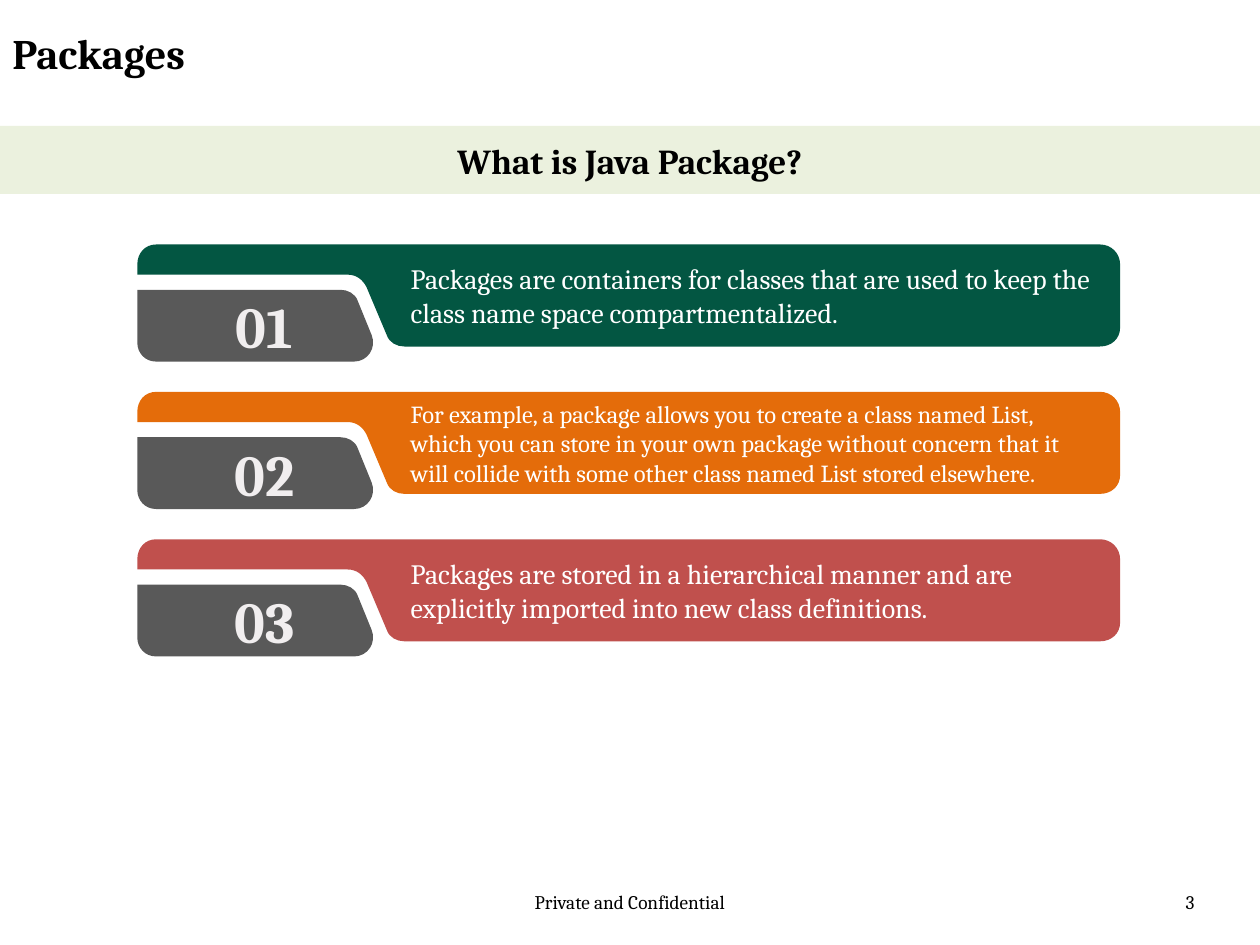
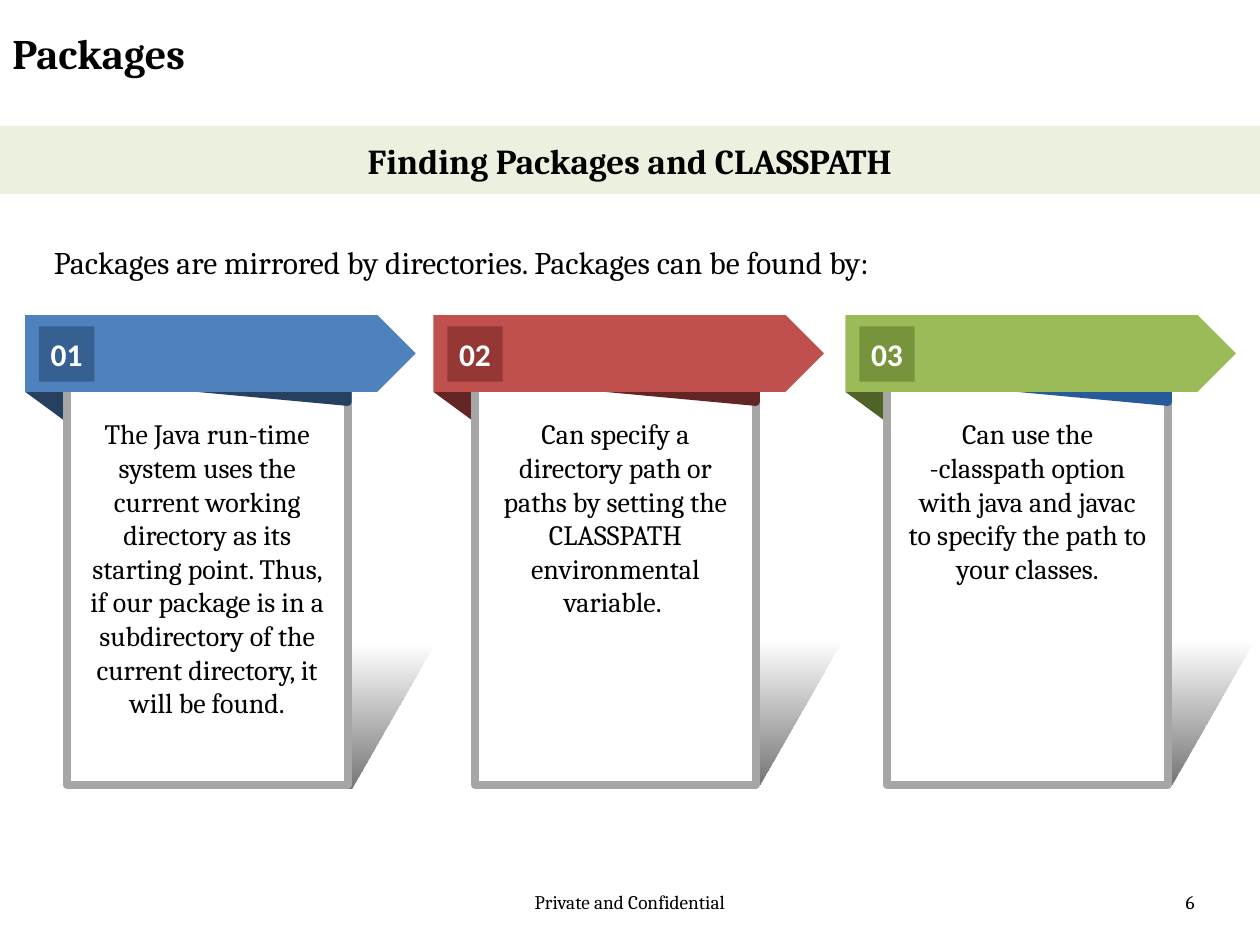
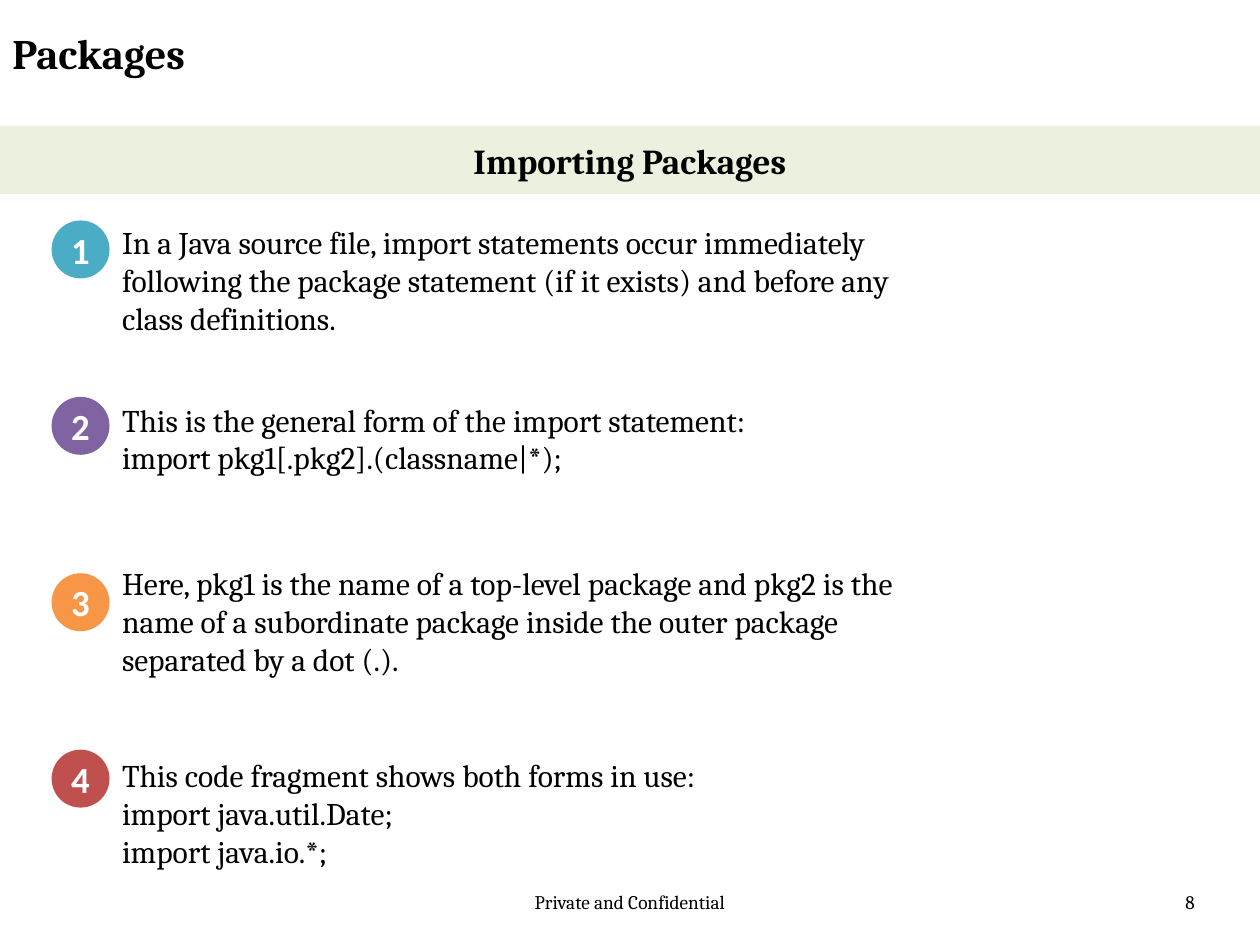
from lxml.etree import SubElement
from pptx import Presentation
from pptx.dml.color import RGBColor
from pptx.enum.shapes import MSO_SHAPE
from pptx.enum.text import MSO_ANCHOR, MSO_AUTO_SIZE, PP_ALIGN
from pptx.oxml.ns import qn
from pptx.util import Inches, Pt

COLORS = {
    "black": "000000", "white": "FFFFFF", "band": "EBF1DE",
    "green": "035642", "orange": "E46C0A", "red": "C0504D",
    "tab": "595959", "tab_text": "F1EEEF", "border": "A6A6A6",
    "blue": "4F81BD", "blue_mid": "376092", "blue_dark": "254061",
    "red_mid": "953735", "red_dark": "632523",
    "lime": "9BBB59", "lime_mid": "77933C", "lime_dark": "4F6228",
    "fold_blue": "265A99", "aqua": "4BACC6", "purple": "8064A2", "amber": "F79646",
}
RGB = {name: RGBColor.from_string(value) for name, value in COLORS.items()}
LEFT, CENTER, RIGHT = PP_ALIGN.LEFT, PP_ALIGN.CENTER, PP_ALIGN.RIGHT
TOP, MIDDLE = MSO_ANCHOR.TOP, MSO_ANCHOR.MIDDLE


def style(sp, fill, line=None):
    sp.shadow.inherit = False
    sp.fill.solid()
    sp.fill.fore_color.rgb = RGB[fill]
    if line:
        sp.line.color.rgb = RGB[line]
        sp.line.width = Pt(4.5)
    else:
        sp.line.fill.background()
    return sp


def write(sp, text, size, color="black", bold=False, font="Cambria", align=LEFT,
          anchor=TOP, insets=(0.1, 0.05, 0.1, 0.05), before=0):
    tf = sp.text_frame
    tf.word_wrap = True
    tf.vertical_anchor = anchor
    for side, inset in zip(("left", "top", "right", "bottom"), insets):
        setattr(tf, f"margin_{side}", Inches(inset))
    for i, line in enumerate(text.split("\n")):
        p = tf.paragraphs[0] if i == 0 else tf.add_paragraph()
        p.alignment = align
        p.space_before = Pt(before)
        r = p.add_run()
        r.text = line
        for key, value in {"name": font, "size": Pt(size), "bold": bold}.items():
            setattr(r.font, key, value)
        r.font.color.rgb = RGB[color]


prs = Presentation()
prs.slide_width, prs.slide_height = Inches(10), Inches(7.5)

slides = []
for heading, number in [
    ("What is Java Package?", "3"),
    ("Finding Packages and CLASSPATH", "6"),
    ("Importing Packages", "8"),
]:
    s = prs.slides.add_slide(prs.slide_layouts[6])
    slides.append(s)
    for text, box, fmt in [
        ("Private and Confidential", (3.42, 7.02, 3.16, 0.4), {"size": 11, "align": CENTER}),
        (number, (7.25, 7.02, 2.33, 0.4), {"size": 11, "align": RIGHT}),
        ("Packages", (0, 0.17, 7.58, 0.62), {"size": 24, "bold": True}),
    ]:
        write(s.shapes.add_textbox(*map(Inches, box)), text, **fmt)
    band = s.shapes.add_shape(MSO_SHAPE.RECTANGLE, 0, Inches(1), Inches(10), Inches(0.54))
    write(style(band, "band"), heading, 20, bold=True, align=CENTER, anchor=MIDDLE, insets=[0.1] * 4)
    band.text_frame.auto_size = MSO_AUTO_SIZE.SHAPE_TO_FIT_TEXT

package_slide, classpath_slide, import_slide = slides

BAR = [
    [(0.15, 0)], [(7.64, 0)], [(7.73, 0), (7.8, 0.07), (7.8, 0.16)],
    [(7.8, 0.66)], [(7.8, 0.75), (7.73, 0.81), (7.64, 0.81)],
    [(2.12, 0.81)], [(2.06, 0.81), (2, 0.78), (1.98, 0.72)],
    [(1.82, 0.34)], [(1.79, 0.28), (1.74, 0.24), (1.67, 0.24)],
    [(0, 0.24)], [(0, 0.16)], [(0, 0.07), (0.06, 0), (0.15, 0)],
]
TAB = [
    [(0, 0.36)], [(1.61, 0.36)], [(1.67, 0.36), (1.73, 0.39), (1.75, 0.45)],
    [(1.86, 0.72)], [(1.9, 0.82), (1.83, 0.93), (1.72, 0.93)],
    [(0.15, 0.93)], [(0.06, 0.93), (0, 0.86), (0, 0.78)],
]
shapes = package_slide.shapes
for i, (fill, size, text) in enumerate([
    ("green", 16, "Packages are containers for classes that are used to keep the class name space "
     "compartmentalized."),
    ("orange", 14, "For example, a package allows you to create a class named List, which you can store "
     "in your own package without concern that it will collide with some other class named List "
     "stored elsewhere."),
    ("red", 16, "Packages are stored in a hierarchical manner and are explicitly imported into new "
     "class definitions."),
]):
    left, top = 1.09, 1.94 + i * 1.17
    for outline, color, label, fmt in [
        (BAR, fill, text, {"size": size, "color": "white", "insets": (2.17, 0.03, 0.18, 0.03)}),
        (TAB, "tab", f"0{i + 1}", {"size": 33, "color": "tab_text", "bold": True, "align": CENTER,
                                   "insets": (0.15, 0.03, 0.03, 0.03)}),
    ]:
        points = [(Inches(left + x), Inches(top + y)) for segment in outline for x, y in segment]
        fb = shapes.build_freeform(*points[0])
        fb.add_line_segments(points[1:], close=False)
        sp = fb.convert_to_shape()
        outline_xml = next(sp._element.iter(qn("a:path")))
        nodes = iter(list(outline_xml))
        for segment in outline:
            first, *rest = [next(nodes) for _ in segment]
            if rest:
                first.tag = qn("a:cubicBezTo")
                for node in rest:
                    first.append(node[0])
                    outline_xml.remove(node)
        SubElement(outline_xml, qn("a:close"))
        write(style(sp, color), label, anchor=MIDDLE, **fmt)

shapes = classpath_slide.shapes
write(shapes.add_textbox(Inches(0.33), Inches(1.88), Inches(8.84), Inches(0.4)),
      "Packages are mirrored by directories. Packages can be found by:", 18)
for i, (left, shade_top, main, mid, dark, fold, text) in enumerate([
    (0.2, 5.12, "blue", "blue_mid", "blue_dark", "blue_dark",
     "The Java run-time system uses the current working directory as its starting point. Thus, if our "
     "package is in a subdirectory of the current directory, it will be found."),
    (3.44, 5.09, "red", "red_mid", "red_dark", "red_dark",
     "Can specify a directory path or paths by setting the CLASSPATH environmental variable. "),
    (6.71, 5.09, "lime", "lime_mid", "lime_dark", "fold_blue",
     "Can use the -classpath option with java and javac to specify the path to your classes."),
]):
    shade = shapes.add_shape(MSO_SHAPE.PARALLELOGRAM, Inches(left + 0.33), Inches(shade_top),
                             Inches(2.91), Inches(1.14))
    style(shade, "black")
    shade.adjustments[0] = 0.57
    shade.fill.gradient()
    shade.fill.gradient_angle = 270
    for stop, position in zip(shade.fill.gradient_stops, (0, 1)):
        stop.position = position
        stop.color.rgb = RGB["black"]
    for color, alpha in zip(shade._element.spPr.iter(qn("a:srgbClr")), (0, 55)):
        SubElement(color, qn("a:alpha")).set("val", str(alpha * 1000))

    parts = {}
    for name, kind, dx, top, width, height, fill, line in [
        ("corner", MSO_SHAPE.RIGHT_TRIANGLE, 0, 3.11, 0.34, 0.25, dark, None),
        ("card", MSO_SHAPE.RECTANGLE, 0.33, 2.93, 2.23, 3.3, "white", "border"),
        ("fold", MSO_SHAPE.RIGHT_TRIANGLE, 1.05, 3.05, 1.51, 0.14, fold, fold),
        ("arrow", MSO_SHAPE.PENTAGON, 0, 2.5, 3.1, 0.61, main, None),
        ("badge", MSO_SHAPE.RECTANGLE, 0.11, 2.59, 0.44, 0.44, mid, None),
    ]:
        sp = shapes.add_shape(kind, Inches(left + dx), Inches(top), Inches(width), Inches(height))
        parts[name] = style(sp, fill, line)
    for name in ("corner", "fold"):
        parts[name].rotation = 180
    write(parts["card"], text, 16, align=CENTER, insets=(0.15, 0.38, 0.15, 0.07), before=13.5)
    write(parts["badge"], f"0{i + 1}", 18, "white", True, "Calibri", CENTER, MIDDLE,
          (0.07, 0.04, 0.07, 0.04))

shapes = import_slide.shapes
for i, (fill, top, width, height, text) in enumerate([
    ("aqua", 1.72, 6.38, 1.01, "In a Java source file, import statements occur immediately following the "
     "package statement (if it exists) and before any class definitions."),
    ("purple", 3.13, 6.71, 0.71, "This is the general form of the import statement:\n"
     "import pkg1[.pkg2].(classname|*);"),
    ("amber", 4.43, 6.71, 1.01, "Here, pkg1 is the name of a top-level package and pkg2 is the name of a "
     "subordinate package inside the outer package separated by a dot (.)."),
    ("red", 5.95, 6.71, 1.01, "This code fragment shows both forms in use:\n"
     "import java.util.Date;\nimport java.io.*;"),
]):
    dot = shapes.add_shape(MSO_SHAPE.OVAL, Inches(0.41), Inches(1.75 + i * 1.4), Inches(0.46), Inches(0.46))
    write(style(dot, fill), str(i + 1), 21, "white", True, "Calibri", CENTER, MIDDLE,
          (0.07, 0.04, 0.07, 0.04))
    write(shapes.add_textbox(Inches(0.87), Inches(top), Inches(width), Inches(height)), text, 18)

prs.save("out.pptx")
